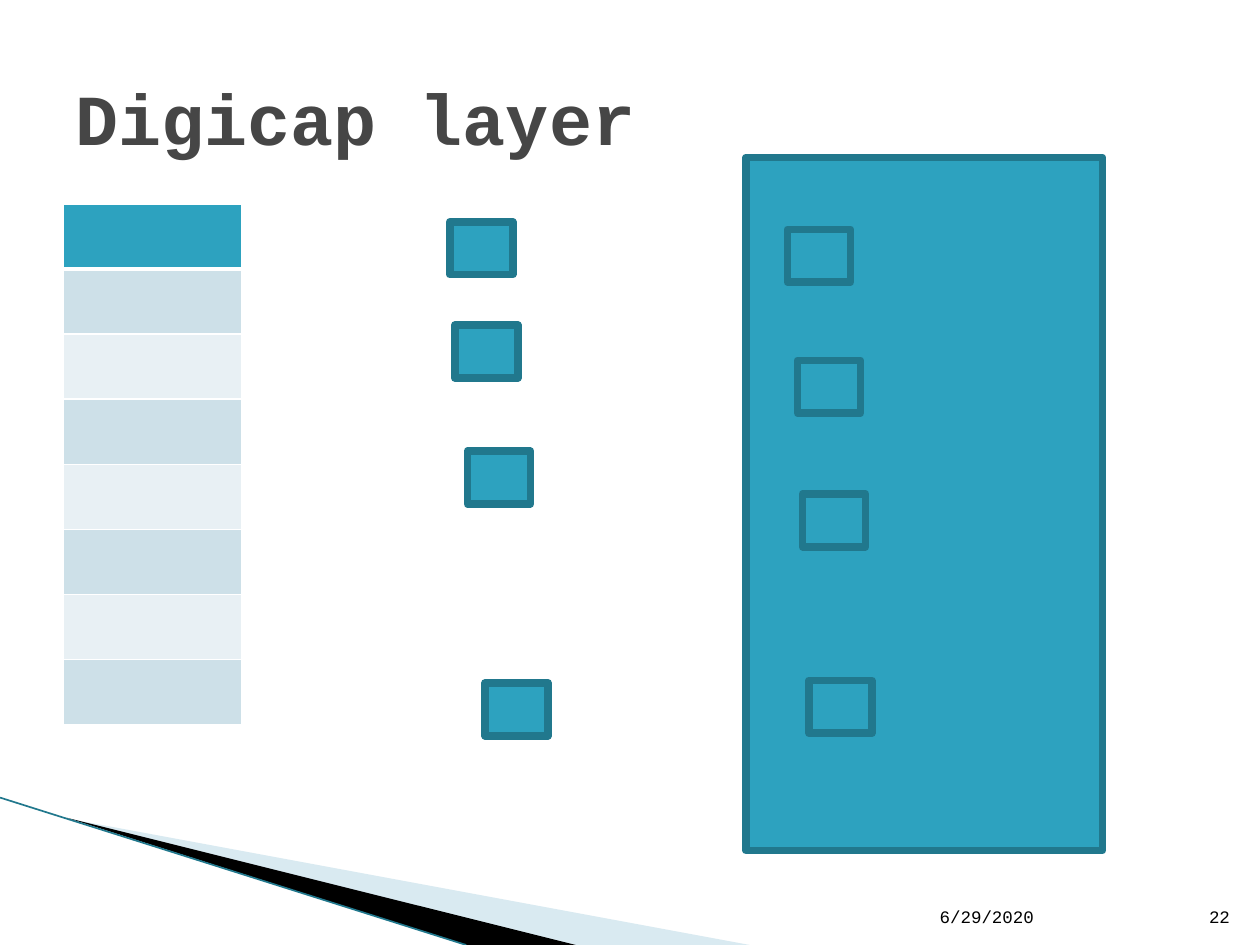
"""Build the Digicap layer slide with its table, blocks and corner decoration."""
from typing import NamedTuple

from lxml.etree import SubElement
from pptx import Presentation
from pptx.dml.color import RGBColor
from pptx.enum.shapes import MSO_CONNECTOR, MSO_SHAPE
from pptx.enum.text import MSO_ANCHOR, PP_ALIGN
from pptx.oxml import parse_xml
from pptx.oxml.ns import nsdecls, qn
from pptx.slide import Slide
from pptx.util import Inches, Pt

COLORS = {
    "teal": "2DA2BF",
    "outline": "21788D",
    "band_dark": "CDE0E8",
    "band_light": "E8F0F4",
    "wedge": "A0CBDC",
    "title": "464646",
    "black": "000000",
    "white": "FFFFFF",
}
FONT = "Courier New"
ROW_COUNT = 8
BLOCK_SIZE = (0.5, 0.42)


class Block(NamedTuple):
    left: float
    top: float
    width: float = BLOCK_SIZE[0]
    height: float = BLOCK_SIZE[1]


class Wedge(NamedTuple):
    color: str
    points: list[tuple[float, float]]
    opacity: int = 100


class Footer(NamedTuple):
    text: str
    left: float
    width: float
    alignment: PP_ALIGN


WEDGES = [
    Wedge("wedge", [(0.55, 6.5), (5.95, 7.5), (4.56, 7.5)], 40),
    Wedge("black", [(0.53, 6.49), (4.57, 7.5), (3.7, 7.5)]),
]
BLOCKS = [
    Block(3.57, 1.76),
    Block(3.61, 2.58),
    Block(3.71, 3.58),
    Block(3.85, 5.42),
    Block(5.92, 1.25, 2.83, 5.5),
    Block(6.25, 1.82),
    Block(6.33, 2.86),
    Block(6.37, 3.92),
    Block(6.42, 5.4),
]
FOOTERS = [
    Footer("6/29/2020", 7.36, 2.1, PP_ALIGN.LEFT),
    Footer("22", 9.46, 0.4, PP_ALIGN.RIGHT),
]


def rgb(name: str) -> RGBColor:
    return RGBColor.from_string(COLORS[name])


def style_font(paragraph, size: float, color: str, bold: bool = False) -> None:
    font = paragraph.font
    font.name, font.size, font.bold = FONT, Pt(size), bold
    font.color.rgb = rgb(color)


def add_wedge(slide: Slide, wedge: Wedge) -> None:
    points = [(Inches(x), Inches(y)) for x, y in wedge.points]
    builder = slide.shapes.build_freeform(*points[0])
    builder.add_line_segments(points[1:], close=True)
    shape = builder.convert_to_shape()
    shape.shadow.inherit = False
    shape.fill.solid()
    shape.fill.fore_color.rgb = rgb(wedge.color)
    shape.line.fill.background()
    if wedge.opacity < 100:
        color = shape.fill._xPr.find(qn("a:solidFill"))[0]
        SubElement(color, qn("a:alpha")).set("val", str(wedge.opacity * 1000))


def add_edge_line(slide: Slide) -> None:
    ends = [Inches(value) for value in (0, 6.33, 3.7, 7.5)]
    connector = slide.shapes.add_connector(MSO_CONNECTOR.STRAIGHT, *ends)
    connector.line.color.rgb = rgb("outline")
    connector.line.width = Pt(0.95)
    SubElement(connector._element.spPr, qn("a:effectLst"))


def add_block(slide: Slide, block: Block) -> None:
    shape = slide.shapes.add_shape(MSO_SHAPE.RECTANGLE, *map(Inches, block))
    shape.shadow.inherit = False
    shape.fill.solid()
    shape.fill.fore_color.rgb = rgb("teal")
    shape.line.color.rgb = rgb("outline")
    shape.line.width = Pt(4.33)


def set_borders(cell, widths: dict[str, float]) -> None:
    properties = cell._tc.get_or_add_tcPr()
    for index, (side, width) in enumerate(widths.items()):
        border = parse_xml(
            f'<a:ln{side} {nsdecls("a")} w="{Pt(width)}"><a:solidFill>'
            f'<a:srgbClr val="{COLORS["white"]}"/></a:solidFill></a:ln{side}>'
        )
        properties.insert(index, border)


def add_layer_table(slide: Slide) -> None:
    frame = slide.shapes.add_table(
        ROW_COUNT, 1, Inches(0.5), Inches(1.62), Inches(1.42), Inches(4.13)
    )
    for row in range(ROW_COUNT):
        cell = frame.table.cell(row, 0)
        band = "band_dark" if row % 2 else "band_light"
        cell.fill.solid()
        cell.fill.fore_color.rgb = rgb(band if row else "teal")
        top, bottom = (3 if row == 1 else 1), (1 if row else 3)
        set_borders(cell, {"L": 1, "R": 1, "T": top, "B": bottom})


def add_footer(slide: Slide, footer: Footer) -> None:
    box = slide.shapes.add_textbox(
        Inches(footer.left), Inches(7.01), Inches(footer.width), Inches(0.4)
    )
    frame = box.text_frame
    frame.word_wrap = True
    frame.vertical_anchor = MSO_ANCHOR.BOTTOM
    paragraph = frame.paragraphs[0]
    paragraph.text = footer.text
    paragraph.alignment = footer.alignment
    style_font(paragraph, 10, "black")


def fill_title(slide: Slide) -> None:
    title = slide.shapes.title
    title.left, title.top = Inches(0.5), Inches(0.3)
    title.width, title.height = Inches(9), Inches(1.25)
    title.text_frame.vertical_anchor = MSO_ANCHOR.MIDDLE
    paragraph = title.text_frame.paragraphs[0]
    paragraph.text = "Digicap layer"
    paragraph.alignment = PP_ALIGN.LEFT
    style_font(paragraph, 41, "title", bold=True)


def main() -> None:
    presentation = Presentation()
    presentation.slide_width, presentation.slide_height = Inches(10), Inches(7.5)
    slide = presentation.slides.add_slide(presentation.slide_layouts[5])
    for wedge in WEDGES:
        add_wedge(slide, wedge)
    add_edge_line(slide)
    add_layer_table(slide)
    for footer in FOOTERS:
        add_footer(slide, footer)
    fill_title(slide)
    for block in BLOCKS:
        add_block(slide, block)
    presentation.save("out.pptx")


if __name__ == "__main__":
    main()
